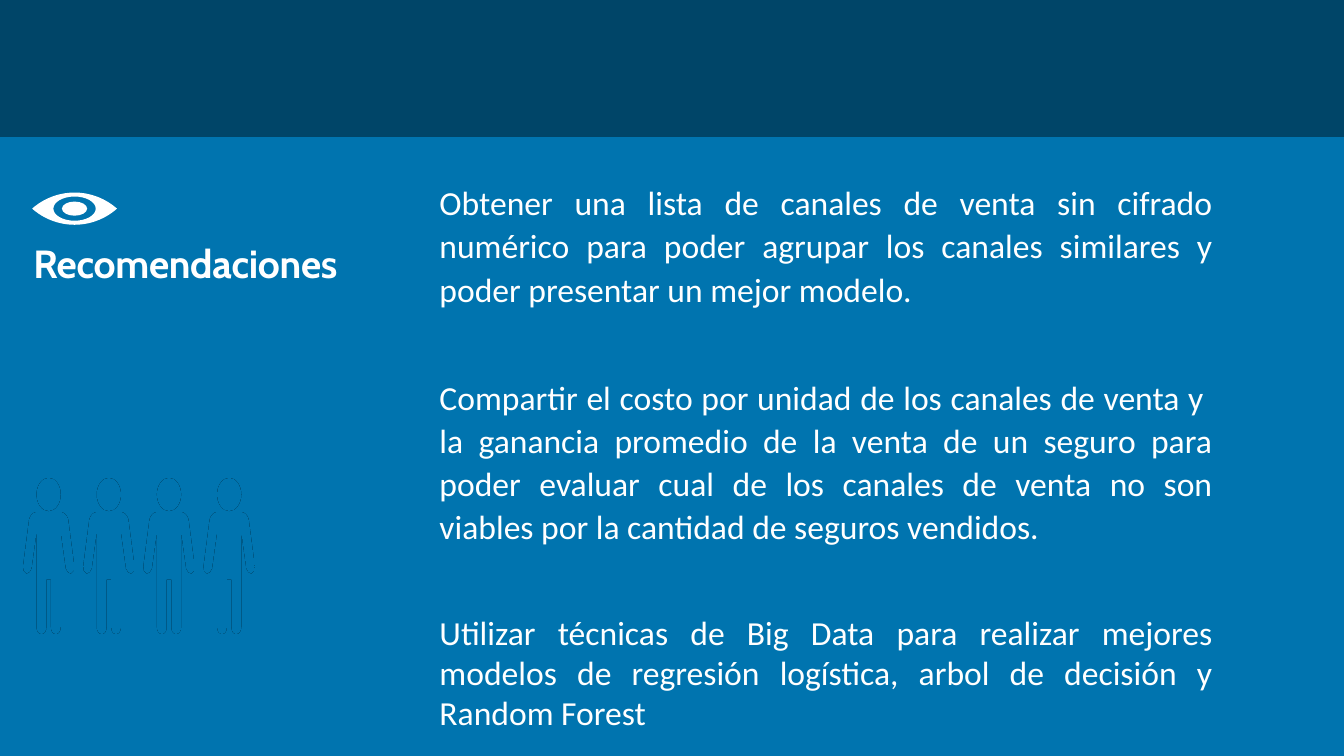
from lxml import etree
from pptx import Presentation
from pptx.dml.color import RGBColor
from pptx.enum.shapes import MSO_SHAPE
from pptx.enum.text import MSO_ANCHOR, MSO_AUTO_SIZE, PP_ALIGN
from pptx.oxml.ns import qn
from pptx.util import Pt

RECTANGLE = MSO_SHAPE.RECTANGLE
TOP = MSO_ANCHOR.TOP
GROW = MSO_AUTO_SIZE.SHAPE_TO_FIT_TEXT
LEFT, JUSTIFY = PP_ALIGN.LEFT, PP_ALIGN.JUSTIFY

PX = 9144  # 100 px to the inch
SLIDE_WIDTH, SLIDE_HEIGHT = 1333.33, 750
BLUE, NAVY, WHITE, BLACK = "0074AF", "004568", "FFFFFF", "000000"
HEADING_FONT, BODY_FONT = "Cabin", "Calibri"
ROUNDNESS = 0.55  # control length of a quarter ellipse

RECOMMENDATIONS = [
    ("Obtener una lista de canales de venta sin cifrado numérico para poder "
     "agrupar los canales similares y poder presentar un mejor modelo.", 1.07, 46.5),
    ("Compartir el costo por unidad de los canales de venta y  la ganancia "
     "promedio de la venta de un seguro para poder evaluar cual de los canales "
     "de venta no son viables por la cantidad de seguros vendidos.", 1.07, 46.5),
    ("Utilizar técnicas de Big Data para realizar mejores modelos de regresión "
     "logística, arbol de decisión y Random Forest", 1.0, 0),
]

# Right half of a body around x = 0: pairs are corners, sixes are Bézier curves.
HALF_BODY = [
    (12.4, 508), (15, 508, 18, 511, 19, 514), (19.5, 516), (25.5, 562),
    (26, 565, 24.5, 568, 22, 569), (20, 569, 18, 567, 17, 564), (12, 528),
    (12, 622), (12, 626, 10, 629, 7, 629), (4, 629, 2.3, 626, 2.3, 622),
    (2.3, 575),
]
EYELIDS = [
    (74, 191), (48, 191, 32, 207, 32, 207), (32, 207, 48, 223, 74, 223),
    (100, 223, 116, 207, 116, 207), (116, 207, 100, 191, 74, 191),
]


def color(value):
    return RGBColor.from_string(value)


def mirror(segments):
    """Run the segments backwards on the other side of x = 0."""
    x, y = segments[-1][-2:]
    result = [(-x, y)]
    for before, segment in reversed(list(zip(segments, segments[1:]))):
        x, y = before[-2:]
        if len(segment) == 6:
            x1, y1, x2, y2 = segment[:4]
            result.append((-x2, y2, -x1, y1, -x, y))
        else:
            result.append((-x, y))
    return result


def shift(segments, distance):
    return [tuple(value if index % 2 else value + distance
                  for index, value in enumerate(segment)) for segment in segments]


def ellipse(x, y, radius_x, radius_y):
    dx, dy = ROUNDNESS * radius_x, ROUNDNESS * radius_y
    left, right, top, bottom = x - radius_x, x + radius_x, y - radius_y, y + radius_y
    return [(x, top),
            (x + dx, top, right, y - dy, right, y),
            (right, y + dy, x + dx, bottom, x, bottom),
            (x - dx, bottom, left, y + dy, left, y),
            (left, y - dy, x - dx, top, x, top)]


def write(para, text, *, font, size, bold=False, align=LEFT, line=1.0, after=0,
          tracking=0):
    para.alignment = align
    para.line_spacing = line
    para.space_before, para.space_after = Pt(0), Pt(after)
    span = para.add_run()
    span.text = text
    span.font.name, span.font.size, span.font.bold = font, Pt(size), bold
    span.font.color.rgb = color(WHITE)
    if tracking:
        span.font._element.set("spc", str(round(tracking * 100)))


def remove_bullet(para):
    properties = para._p.get_or_add_pPr()
    properties.set("marL", "0")
    properties.set("indent", "0")
    etree.SubElement(properties, qn("a:buNone"))


def bend(shape, segments):
    """Swap the straight steps of a freeform for the curves among its segments."""
    steps = [step for step in shape._element.iter(qn("a:moveTo"), qn("a:lnTo"))]
    for step, segment in zip(steps, segments):
        if len(segment) == 6:
            curve = etree.Element(qn("a:cubicBezTo"))
            for x, y in zip(segment[::2], segment[1::2]):
                etree.SubElement(curve, qn("a:pt"), x=str(round(x * PX) - shape.left),
                                 y=str(round(y * PX) - shape.top))
            step.getparent().replace(step, curve)


class Page:
    def __init__(self, deck):
        self.slide = deck.slides.add_slide(deck.slide_layouts[1])
        self.shapes = self.slide.shapes
        background = self.slide.background.fill
        background.solid()
        background.fore_color.rgb = color(BLUE)

    def place(self, box, left, top, width, height):
        box.left, box.top = left * PX, top * PX
        box.width, box.height = width * PX, height * PX
        frame = box.text_frame
        frame.word_wrap = True
        frame.auto_size = GROW
        frame.vertical_anchor = TOP
        return frame

    def title(self, text, *bounds):
        frame = self.place(self.shapes.title, *bounds)
        write(frame.paragraphs[0], text, font=HEADING_FONT, size=28, bold=True,
              line=0.85, tracking=-0.2)

    def body(self, items, *bounds):
        frame = self.place(self.slide.placeholders[1], *bounds)
        for index, (text, line, after) in enumerate(items):
            para = frame.add_paragraph() if index else frame.paragraphs[0]
            write(para, text, font=BODY_FONT, size=24, align=JUSTIFY, line=line,
                  after=after)
            remove_bullet(para)

    def finish(self, shape, fill):
        shape.shadow.inherit = False
        shape.line.fill.background()
        shape.fill.solid()
        shape.fill.fore_color.rgb = color(fill)

    def outline(self, contours, fill=WHITE):
        """Draw one shape from closed contours; inner ones cut holes."""
        builder = None
        for contour in contours:
            ends = [(round(part[-2] * PX), round(part[-1] * PX)) for part in contour]
            if builder is None:
                builder = self.shapes.build_freeform(*ends[0])
            else:
                builder.move_to(*ends[0])
            builder.add_line_segments(ends[1:], close=True)
        shape = builder.convert_to_shape()
        bend(shape, sum(contours, []))
        self.finish(shape, fill)
        return shape

    def person(self, center):
        body = shift(HALF_BODY + mirror(HALF_BODY), center)
        shape = self.outline([body, ellipse(center, 490.5, 12, 16.5)])
        shape.fill.gradient()
        shape.fill.gradient_angle = 270
        for stop, shade in zip(shape.fill.gradient_stops, (BLACK, BLUE)):
            stop.position = 0
            stop.color.rgb = color(shade)

    def eye(self):
        self.outline([EYELIDS, ellipse(74, 207, 21, 12), ellipse(74, 207, 12.5, 7)])

    def banner(self, width, height):
        shape = self.shapes.add_shape(RECTANGLE, 0, 0, round(width * PX), height * PX)
        self.finish(shape, NAVY)


def main():
    deck = Presentation()
    deck.slide_width, deck.slide_height = round(SLIDE_WIDTH * PX), SLIDE_HEIGHT * PX
    page = Page(deck)
    page.body(RECOMMENDATIONS, 426, 173, 787, 565)
    for index in range(4):
        page.person(48.3 + 59.7 * index)
    page.eye()
    page.title("Recomendaciones", 23, 240, 576, 50)
    page.banner(SLIDE_WIDTH, 136)
    deck.save("out.pptx")


if __name__ == "__main__":
    main()
